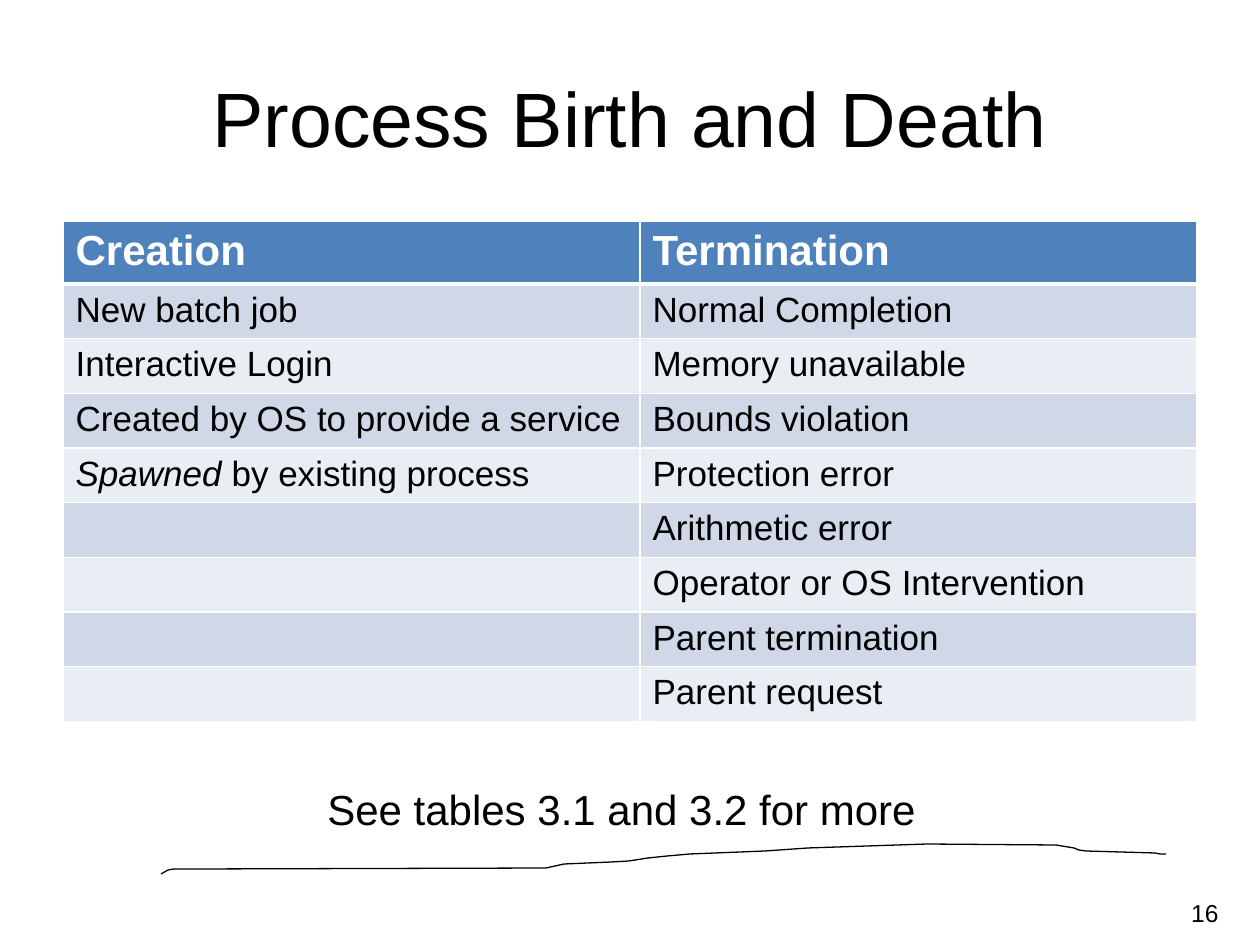
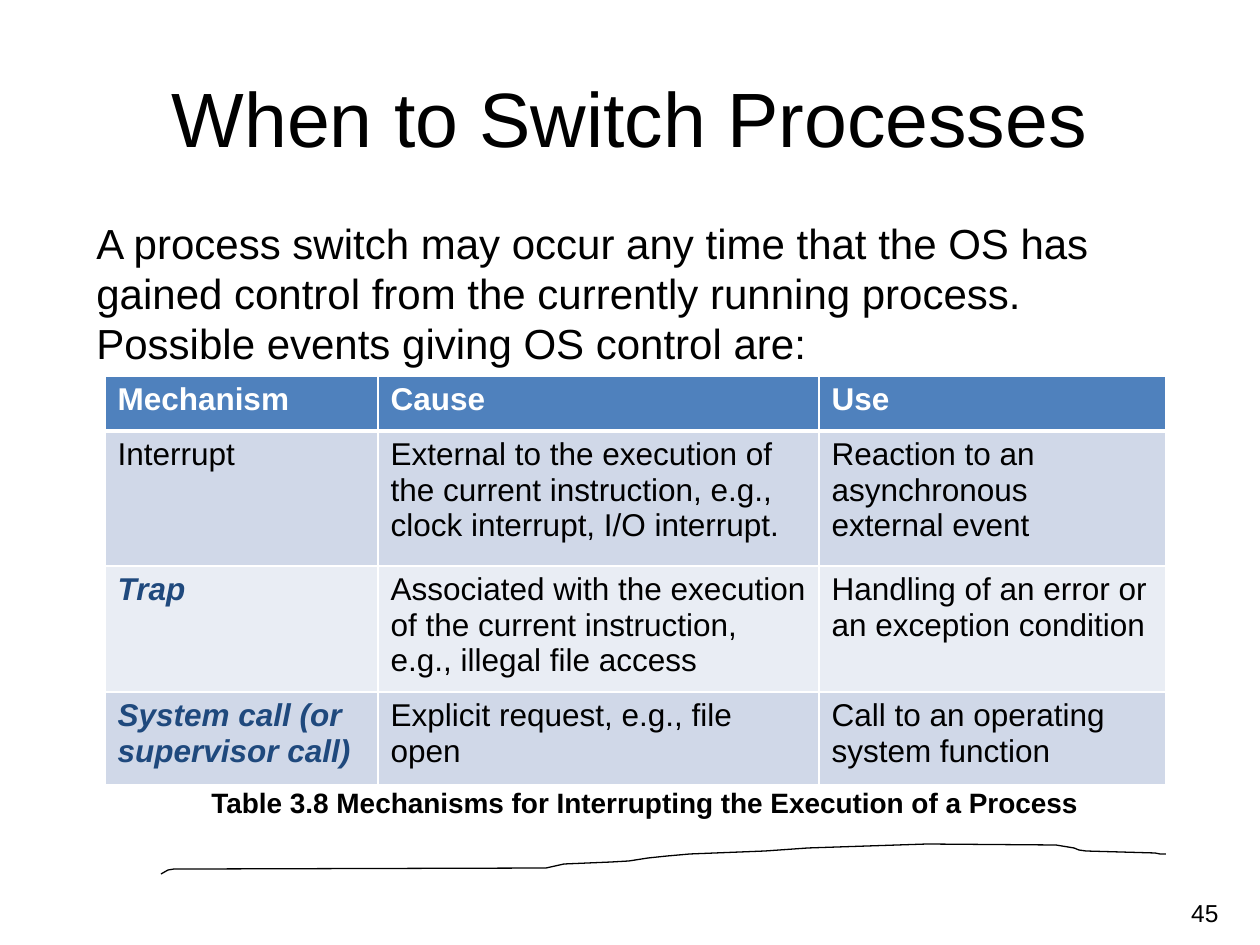
import itertools

import pptx
import pptx.dml.color
import pptx.enum.text
import pptx.oxml
import pptx.oxml.ns
import pptx.util

EMU_PER_PX = 914400 / 126
FONT = "Arial"
COLORS = {
    "text": "000000",
    "white": "FFFFFF",
    "header": "4F81BD",
    "odd_row": "D0D8E8",
    "even_row": "E9EDF4",
    "emphasis": "1F497D",
}
TITLE_BOX = (63, 38, 1134, 157)
NUMBER_BOX = (1166, 892, 65, 43)
SWOOSH = [
    (161, 874), (168, 870), (174, 869), (188, 869), (546, 868), (564, 864),
    (611, 862), (629, 861), (648, 858), (667, 856), (690, 854), (765, 851),
    (808, 848), (927, 844), (1056, 845), (1068, 847), (1074, 848), (1079, 850),
    (1086, 851), (1155, 853), (1160, 854), (1166, 854),
]
ALIGN = pptx.enum.text.PP_ALIGN
KEY_TERM = {"bold": True, "italic": True, "color": "emphasis"}

CREATION = [
    "New batch job",
    "Interactive Login",
    "Created by OS to provide a service",
    [("Spawned", {"italic": True}), (" by existing process", {})],
]
TERMINATION = [
    "Normal Completion",
    "Memory unavailable",
    "Bounds violation",
    "Protection error",
    "Arithmetic error",
    "Operator or OS Intervention",
    "Parent termination",
    "Parent request",
]
MECHANISMS = [
    ("Mechanism", "Cause", "Use"),
    (
        "Interrupt",
        "External to the execution of the current instruction, e.g., clock interrupt, I/O interrupt.",
        "Reaction to an asynchronous\nexternal event",
    ),
    (
        [("Trap", KEY_TERM)],
        "Associated with the execution of the current instruction, e.g., illegal file access",
        "Handling of an error or an exception condition",
    ),
    (
        [("System call (or supervisor call)", KEY_TERM)],
        "Explicit request, e.g., file open",
        "Call to an operating system function",
    ),
]


def px(length):
    return pptx.util.Emu(round(length * EMU_PER_PX))


def rgb(name):
    return pptx.dml.color.RGBColor.from_string(COLORS[name])


def format_font(font, size, color="text", **flags):
    font.color.rgb = rgb(color)
    values = {"name": FONT, "size": pptx.util.Pt(size), **flags}
    for attribute, value in values.items():
        setattr(font, attribute, value)


def write(frame, content, align=ALIGN.LEFT, **style):
    """Fill a text frame with a string (one paragraph a line) or a list of (text, style) runs."""
    if isinstance(content, str):
        paragraphs = [[(line, {})] for line in content.split("\n")]
    else:
        paragraphs = [content]
    for index, runs in enumerate(paragraphs):
        paragraph = frame.add_paragraph() if index else frame.paragraphs[0]
        paragraph.alignment = align
        for text, run_style in runs:
            run = paragraph.add_run()
            run.text = text
            format_font(run.font, **{**style, **run_style})


def add_text(slide, box, content, **style):
    frame = slide.shapes.add_textbox(*map(px, box)).text_frame
    frame.word_wrap = True
    write(frame, content, **style)


def add_swoosh(slide):
    builder = slide.shapes.build_freeform(*SWOOSH[0], scale=EMU_PER_PX)
    builder.add_line_segments(SWOOSH[1:], close=False)
    swoosh = builder.convert_to_shape()
    swoosh.shadow.inherit = False
    swoosh.fill.background()
    swoosh.line.color.rgb = rgb("text")
    swoosh.line.width = pptx.util.Pt(0.75)


def add_slide(deck, heading, number):
    slide = deck.slides.add_slide(deck.slide_layouts.get_by_name("Title Only"))
    add_swoosh(slide)
    add_text(slide, NUMBER_BOX, str(number), size=14, align=ALIGN.RIGHT)
    title = slide.shapes.title
    title.left, title.top, title.width, title.height = map(px, TITLE_BOX)
    title.text_frame.vertical_anchor = pptx.enum.text.MSO_ANCHOR.MIDDLE
    write(title.text_frame, heading, size=44, align=ALIGN.CENTER)
    return slide


def set_borders(cell, widths):
    """Draw white borders; widths maps the sides L, R, T and B, in this order, to points."""
    properties = cell._tc.get_or_add_tcPr()
    for side, width in widths.items():
        properties.append(pptx.oxml.parse_xml(
            f'<a:ln{side} {pptx.oxml.ns.nsdecls("a")} w="{pptx.util.Pt(width)}">'
            f'<a:solidFill><a:srgbClr val="{COLORS["white"]}"/></a:solidFill></a:ln{side}>'
        ))


def add_banded_table(slide, left, top, widths, heights, rows, header_size, body_size):
    box = (left, top, sum(widths), sum(heights))
    table = slide.shapes.add_table(len(rows), len(widths), *map(px, box)).table
    for column, width in zip(table.columns, widths):
        column.width = px(width)
    for row_index, (row, height, contents) in enumerate(zip(table.rows, heights, rows)):
        row.height = px(height)
        if row_index == 0:
            fill, borders = "header", {"L": 1, "R": 1, "T": 1, "B": 3}
            style = {"size": header_size, "bold": True, "color": "white"}
        else:
            fill = "odd_row" if row_index % 2 else "even_row"
            borders = {"L": 1, "R": 1, "T": 3 if row_index == 1 else 1, "B": 1}
            style = {"size": body_size, "bold": False}
        for cell, content in zip(row.cells, contents):
            set_borders(cell, borders)
            cell.fill.solid()
            cell.fill.fore_color.rgb = rgb(fill)
            if content:
                write(cell.text_frame, content, **style)


def build_birth_and_death(deck):
    slide = add_slide(deck, "Process Birth and Death", 16)
    rows = [("Creation", "Termination")]
    rows += itertools.zip_longest(CREATION, TERMINATION)
    heights = [58] + [52] * len(TERMINATION)
    add_banded_table(slide, 63, 221, [577, 557], heights, rows, 24, 20)
    add_text(slide, (315, 777, 629, 63), "See tables 3.1 and 3.2 for more", size=24)


def build_when_to_switch(deck):
    slide = add_slide(deck, "When to Switch Processes", 45)
    add_banded_table(slide, 105, 376, [273, 441, 347], [55, 135, 118, 93], MECHANISMS, 18, 18)
    add_text(
        slide, (199, 779, 903, 47),
        "Table 3.8 Mechanisms for Interrupting the Execution of a Process",
        size=16, bold=True,
    )
    add_text(
        slide, (84, 211, 1113, 165),
        "A process switch may occur any time that the OS has gained control from the "
        "currently running process. Possible events giving OS control are:",
        size=24,
    )


def main():
    deck = pptx.Presentation()
    deck.slide_width, deck.slide_height = px(1260), px(945)
    build_birth_and_death(deck)
    build_when_to_switch(deck)
    deck.save("out.pptx")


if __name__ == "__main__":
    main()
